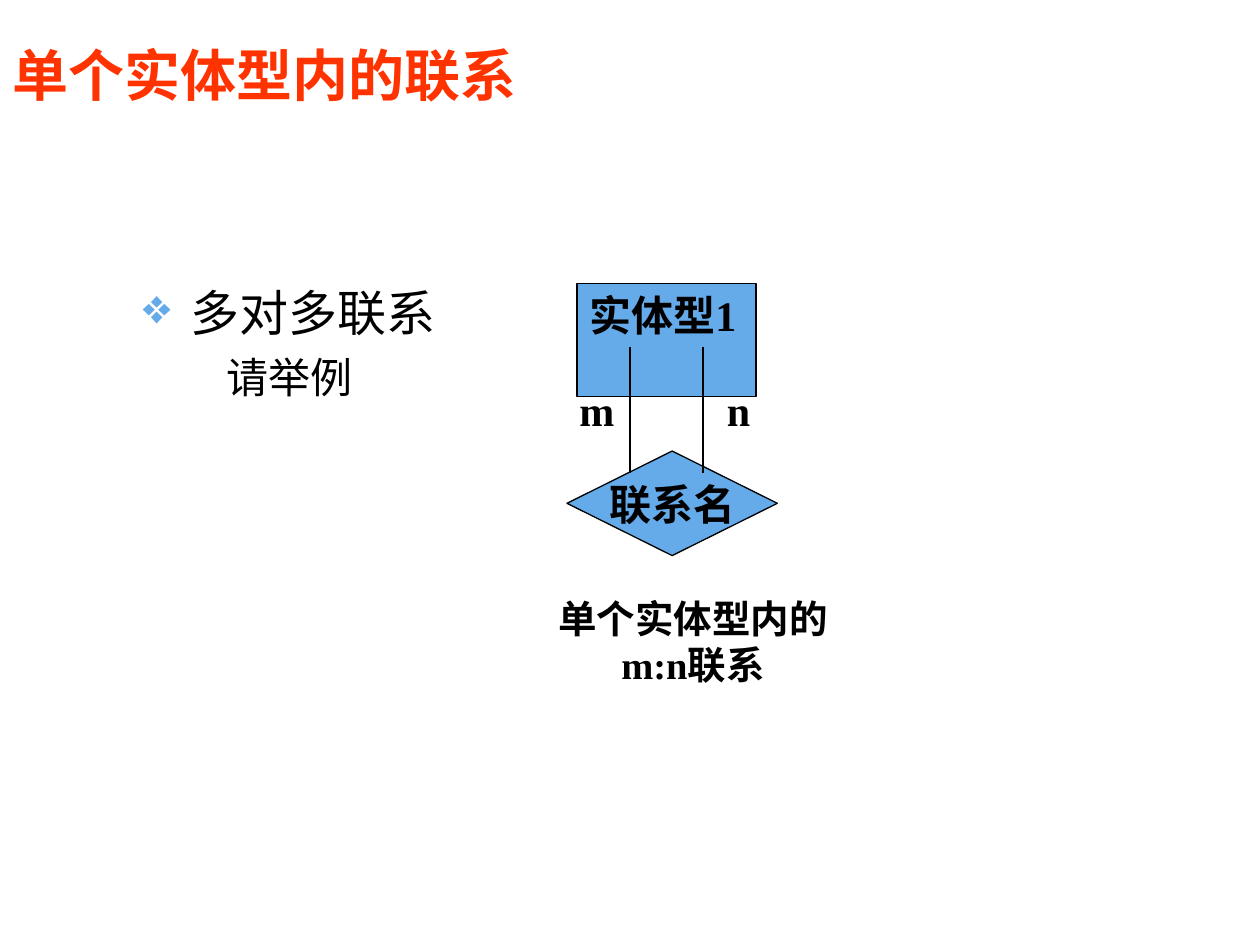
from lxml import etree
from pptx import Presentation, util as u
from pptx.dml.color import RGBColor
from pptx.enum import shapes, text
from pptx.oxml.ns import qn

LATIN, CJK = "Times New Roman", "Noto Sans CJK SC"
BLUE, BLACK, RED = "65AAE9", "000000", "FF3300"
LEFT, CENTER = text.PP_ALIGN.LEFT, text.PP_ALIGN.CENTER
TOP, MIDDLE = text.MSO_ANCHOR.TOP, text.MSO_ANCHOR.MIDDLE

TITLE = ("单个实体型内的联系", (0, 0.28, 8.08, 0.62))
BULLETS = ("多对多联系", "请举例", (0.84, 2.19, 2.91, 1.05))
ENTITY = ("实体型1", (4.58, 2.25, 1.42, 0.9))
RELATION = ("联系名", (4.5, 3.58, 1.67, 0.83))
LINKS_X, LINK_TOP, LINK_BOTTOM = (5, 5.58), 2.75, 3.75
ROLES = [("m", (4.5, 3, 0.42, 0.5)), ("n", (5.67, 3, 0.42, 0.5))]
CAPTION = ("单个实体型内的m:n联系", (4.25, 4.67, 2.5, 0.84))


def rgb(value):
    return RGBColor.from_string(value)


def inches(values):
    return [u.Inches(v) for v in values]


def add_run(p, words, size, color=BLACK, bold=True, latin=LATIN):
    r = p.add_run()
    r.text = words
    r.font.size, r.font.bold, r.font.name = u.Pt(size), bold, latin
    r.font.color.rgb = rgb(color)
    etree.SubElement(r.font._element, qn("a:ea"), typeface=CJK)


def write(sp, words, size, align=LEFT, anchor=TOP, wrap=True, **style):
    tf = sp.text_frame
    tf.word_wrap, tf.vertical_anchor = wrap, anchor
    p = tf.paragraphs[0]
    p.alignment = align
    add_run(p, words, size, **style)
    return tf


def add_text(box, words, size, **style):
    return write(s.shapes.add_textbox(*inches(box)), words, size, **style)


def add_node(kind, box, words, **style):
    sp = s.shapes.add_shape(kind, *inches(box))
    sp.shadow.inherit = False
    sp.fill.solid()
    sp.fill.fore_color.rgb = rgb(BLUE)
    sp.line.color.rgb = rgb(BLACK)
    sp.line.width = u.Pt(0.75)
    write(sp, words, 24, **style)


def hang(p, bullet=None):
    pPr = p._p.get_or_add_pPr()
    pPr.set("marL", str(u.Inches(0.38)))
    pPr.set("indent", str(u.Inches(-0.38)))
    if bullet:
        color = etree.SubElement(pPr, qn("a:buClr"))
        etree.SubElement(color, qn("a:srgbClr"), val=BLUE)
        etree.SubElement(pPr, qn("a:buChar"), char=bullet)
    else:
        etree.SubElement(pPr, qn("a:buNone"))


prs = Presentation()
prs.slide_width, prs.slide_height = inches((10, 7.5))
s = prs.slides.add_slide(prs.slide_layouts[6])

words, box = TITLE
add_text(box, words, 32, anchor=MIDDLE, color=RED, latin=CJK)

words, box = ENTITY
add_node(shapes.MSO_SHAPE.RECTANGLE, box, words)
words, box = RELATION
add_node(shapes.MSO_SHAPE.DIAMOND, box, words, align=CENTER, anchor=MIDDLE, wrap=False)

for x in LINKS_X:
    link = s.shapes.add_connector(
        shapes.MSO_CONNECTOR.STRAIGHT, *inches((x, LINK_TOP, x, LINK_BOTTOM)))
    link.line.color.rgb = rgb(BLACK)
    link.line.width = u.Pt(0.75)
    etree.SubElement(link._element.spPr, qn("a:effectLst"))

for words, box in ROLES:
    add_text(box, words, 24)
words, box = CAPTION
add_text(box, words, 22, align=CENTER)

topic, prompt, box = BULLETS
tf = add_text(box, topic, 28, align=CENTER, bold=False)
hang(tf.paragraphs[0], "❖")
p = tf.add_paragraph()
p.alignment, p.line_spacing = CENTER, 1.2
hang(p)
add_run(p, prompt, 24, bold=False)

prs.save("out.pptx")
